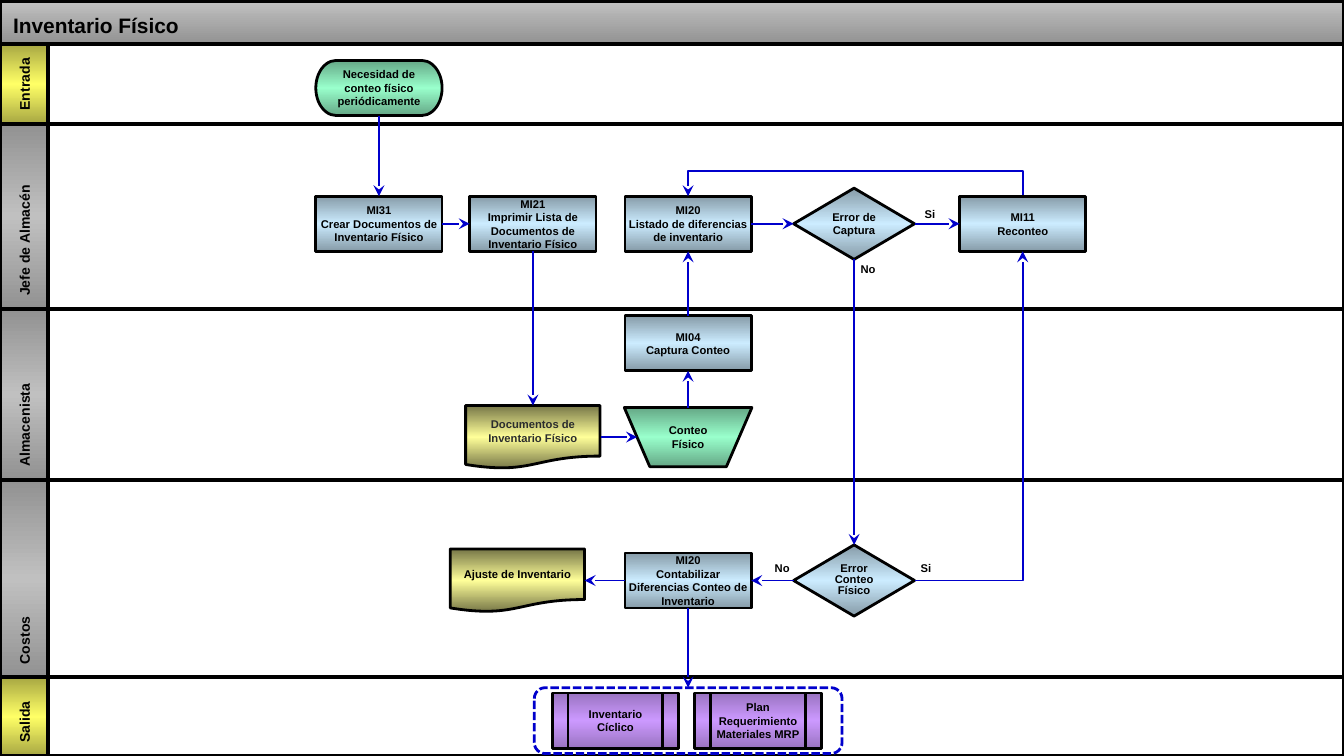
from dataclasses import dataclass

from pptx import Presentation
from pptx.dml.color import RGBColor
from pptx.enum.dml import MSO_LINE
from pptx.enum.shapes import MSO_CONNECTOR as CONN, MSO_SHAPE as SHAPE
from pptx.enum.text import MSO_ANCHOR as ANCHOR, PP_ALIGN as ALIGN
from pptx.oxml import parse_xml
from pptx.oxml.ns import nsdecls, qn
from pptx.util import Inches, Pt


@dataclass(frozen=True)
class Theme:
    font: str = "Arial"
    title: float = 11.2
    label: float = 7.5
    body: float = 6
    ink: str = "000000"
    soft: str = "2B2D2E"
    paper: str = "FFFFFF"
    back: str = "F2F2F2"
    flow: str = "0000CC"
    header: tuple = ("C0C0C0", "929292")
    gray: tuple = ("929292", "C0C0C0", "929292")
    gold: tuple = ("A8A843", "FFFF66", "A8A843")
    blue: tuple = ("869BA8", "CCECFF", "869BA8")
    green: tuple = ("65A886", "99FFCC", "65A886")
    sand: tuple = ("767647", "FFFF99", "767647")
    violet: tuple = ("9A74C1", "CC99FF", "9A74C1")
    frame: float = 2
    edge: float = 1.5
    arrow: float = 1


@dataclass(frozen=True)
class Box:
    x: float
    y: float
    w: float
    h: float

    def emu(self):
        return [u(v) for v in (self.x, self.y, self.w, self.h)]

    def centred(self, col, share, w, h):
        return Box(col - w / 2, self.y + self.h * share - h / 2, w, h)


T = Theme()
WIDTH, HEIGHT = 100, 56.25
UNIT = Inches(10) / WIDTH
SIDE = 3.6
EDGES = [3.3, 9.2, 23, 35.7, 50.4, HEIGHT]
LANES = [("Entrada", T.gold), ("Jefe de Almacén", T.gray), ("Almacenista", T.gray),
         ("Costos", T.gray), ("Salida", T.gold)]
C1, C2, C3, C4, C5 = 28.2, 39.65, 51.2, 63.55, 76.1
TOP, LEFT, BOTTOM, RIGHT = range(4)

KINDS = {
    "start": (SHAPE.FLOWCHART_TERMINATOR, T.green, 9.4, 4.1, 0.1),
    "task": (SHAPE.RECTANGLE, T.blue, 9.4, 4.1, 0.1),
    "choice": (SHAPE.DIAMOND, T.blue, 9, 5.3, 0),
    "manual": (SHAPE.FLOWCHART_MANUAL_OPERATION, T.green, 9.5, 4.4, 0.1),
    "paper": (SHAPE.FLOWCHART_DOCUMENT, T.sand, 10, 4.7, 0.1),
    "process": (SHAPE.FLOWCHART_PREDEFINED_PROCESS, T.violet, 9.4, 4.1, 0.1),
}
NODES = [
    ("need", "start", 0, C1, 0.55, ["Necesidad de conteo físico periódicamente"]),
    ("create", "task", 1, C1, 0.54, ["MI31", "Crear Documentos de Inventario Físico"]),
    ("print", "task", 1, C2, 0.54, ["MI21", "Imprimir Lista de Documentos de Inventario Físico"]),
    ("list", "task", 1, C3, 0.54, ["MI20", "Listado de diferencias de inventario"]),
    ("capture", "choice", 1, C4, 0.54, ["Error de", "Captura"]),
    ("recount", "task", 1, C5, 0.54, ["MI11", "Reconteo"]),
    ("enter", "task", 2, C3, 0.2, ["MI04", "Captura Conteo"]),
    ("documents", "paper", 2, C2, 0.75, ["Documentos de Inventario Físico"]),
    ("count", "manual", 2, C3, 0.75, ["Conteo Físico"]),
    ("adjust", "paper", 3, 38.5, 0.51, ["Ajuste de Inventario"]),
    ("post", "task", 3, C3, 0.51, ["MI20", "Contabilizar Diferencias Conteo de Inventario"]),
    ("error", "choice", 3, C4, 0.51, ["Error Conteo Físico"]),
]
OUTPUTS = [(45.8, "Inventario Cíclico"), (56.4, "Plan Requerimiento Materiales MRP")]
ARROWS = [
    ("need", BOTTOM, "create", TOP), ("create", RIGHT, "print", LEFT),
    ("print", BOTTOM, "documents", TOP), ("count", TOP, "enter", BOTTOM),
    ("enter", TOP, "list", BOTTOM), ("list", RIGHT, "capture", LEFT),
    ("capture", RIGHT, "recount", LEFT), ("capture", BOTTOM, "error", TOP),
    ("error", LEFT, "post", RIGHT), ("post", LEFT, "adjust", RIGHT),
    ("post", BOTTOM, "outputs", TOP),
]
ANSWERS = [("No", 64.6, 20), ("Si", 69.2, 15.9), ("No", 58.2, 42.3), ("Si", 68.9, 42.3)]


def u(v):
    return round(v * UNIT)


def rgb(color):
    return RGBColor.from_string(color)


def shape(shapes, kind, box, fill, line, width):
    sp = shapes.add_shape(kind, *box.emu())
    sp.shadow.inherit = False
    if isinstance(fill, tuple):
        stops = "".join(f'<a:gs pos="{100000 * i // (len(fill) - 1)}"><a:srgbClr val="{c}"/></a:gs>'
                        for i, c in enumerate(fill))
        sp._element.spPr.insert(2, parse_xml(
            f'<a:gradFill {nsdecls("a")} rotWithShape="1"><a:gsLst>{stops}</a:gsLst>'
            '<a:lin ang="5400000" scaled="0"/></a:gradFill>'))
    elif fill:
        sp.fill.solid()
        sp.fill.fore_color.rgb = rgb(fill)
    else:
        sp.fill.background()
    sp.line.color.rgb = rgb(line)
    sp.line.width = Pt(width)
    return sp


def write(sp, lines, size, color=T.ink, align=ALIGN.CENTER, anchor=ANCHOR.MIDDLE, inset=None):
    tf = sp.text_frame
    tf.text = "\n".join(lines)
    tf.vertical_anchor = anchor
    if inset is not None:
        tf.margin_left = tf.margin_right = tf.margin_top = tf.margin_bottom = u(inset)
    for p in tf.paragraphs:
        p.alignment = align
        p.font.name, p.font.size, p.font.bold = T.font, Pt(size), True
        p.font.color.rgb = rgb(color)
    return tf


def header(s, box):
    sp = shape(s.shapes, SHAPE.RECTANGLE, box, T.header, T.ink, T.frame)
    write(sp, ["Inventario Físico"], T.title, align=ALIGN.LEFT, anchor=ANCHOR.BOTTOM)


def lane(s, box, label, fill):
    area = Box(box.x + SIDE, box.y, box.w - SIDE, box.h)
    shape(s.shapes, SHAPE.RECTANGLE, area, T.paper, T.ink, T.frame)
    sp = shape(s.shapes, SHAPE.RECTANGLE, Box(box.x, box.y, SIDE, box.h), fill, T.ink, T.frame)
    sp.rotation = 180
    tf = write(sp, [label], T.label)
    tf.word_wrap = False
    tf._txBody.bodyPr.set("vert", "eaVert")


def node(shapes, box, kind, col, share, lines):
    preset, fill, w, h, inset = KINDS[kind]
    sp = shape(shapes, preset, box.centred(col, share, w, h), fill, T.ink, T.edge)
    write(sp, lines, T.body, inset=inset)
    return sp


def outputs(s, box):
    group = s.shapes.add_group_shape()
    frame = shape(group.shapes, SHAPE.FLOWCHART_ALTERNATE_PROCESS,
                  box.centred(C3, 0.55, 22.9, 4.9), None, T.flow, T.edge)
    frame.line.dash_style = MSO_LINE.SQUARE_DOT
    for col, text in OUTPUTS:
        node(group.shapes, box, "process", col, 0.55, [text])
    return frame


def arrow(s, kind, start=(0, 0), end=(0, 0)):
    c = s.shapes.add_connector(kind, *[u(v) for v in (*start, *end)])
    c.line.color.rgb = rgb(T.flow)
    c.line.width = Pt(T.arrow)
    c.line._get_or_add_ln().append(parse_xml(f'<a:tailEnd {nsdecls("a")} type="stealth"/>'))
    c._element.spPr.append(parse_xml(f'<a:effectLst {nsdecls("a")}/>'))
    return c


def loop_back(s, start, end, rise):
    (x0, y0), (x1, y1) = start, end
    drop, span = y1 - y0, x0 - x1
    x, y = (x0 + x1 - drop) / 2, (y0 + y1 - span) / 2
    c = arrow(s, CONN.ELBOW, (x + drop, y + span), (x, y))
    c._element.spPr.find(qn("a:xfrm")).set("rot", str(270 * 60000))
    guides = c._element.spPr.find(qn("a:prstGeom")).get_or_add_avLst()
    guides.append(parse_xml(f'<a:gd {nsdecls("a")} name="adj1" '
                            f'fmla="val {round(-rise / drop * 100000)}"/>'))


def corner(s, start, end):
    c = arrow(s, CONN.ELBOW, start, end)
    c._element.spPr.find(qn("a:prstGeom")).set("prst", "bentConnector2")


def answer(s, text, box):
    sp = s.shapes.add_textbox(*box.emu())
    write(sp, [text], T.body, inset=0).word_wrap = False


def flow(s, boxes):
    nodes = {name: node(s.shapes, boxes[i], kind, col, share, lines)
             for name, kind, i, col, share, lines in NODES}
    nodes["documents"].text_frame.paragraphs[0].font.color.rgb = rgb(T.soft)
    nodes["error"].text_frame.paragraphs[0].line_spacing = 0.8
    nodes["outputs"] = outputs(s, boxes[-1])
    for a, i, b, j in ARROWS:
        c = arrow(s, CONN.STRAIGHT)
        c.begin_connect(nodes[a], i)
        c.end_connect(nodes[b], j)
    row = boxes[2].y + boxes[2].h * 0.75
    arrow(s, CONN.STRAIGHT, (44.7, row), (47.4, row))
    loop_back(s, (C5, 14.5), (C3, 14.6), 1.8)
    corner(s, (68.1, 43.2), (C5, 18.7))
    for text, col, y in ANSWERS:
        answer(s, text, Box(col - 1, y - 0.5, 2, 1))


def main():
    prs = Presentation()
    prs.slide_width, prs.slide_height = u(WIDTH), u(HEIGHT)
    s = prs.slides.add_slide(prs.slide_layouts[6])
    s.background.fill.solid()
    s.background.fill.fore_color.rgb = rgb(T.back)
    boxes = [Box(0, a, WIDTH, b - a) for a, b in zip(EDGES, EDGES[1:])]
    for box, (label, fill) in zip(boxes, LANES):
        lane(s, box, label, fill)
    header(s, Box(0, 0.1, WIDTH, EDGES[0] - 0.1))
    flow(s, boxes)
    prs.save("out.pptx")


if __name__ == "__main__":
    main()
